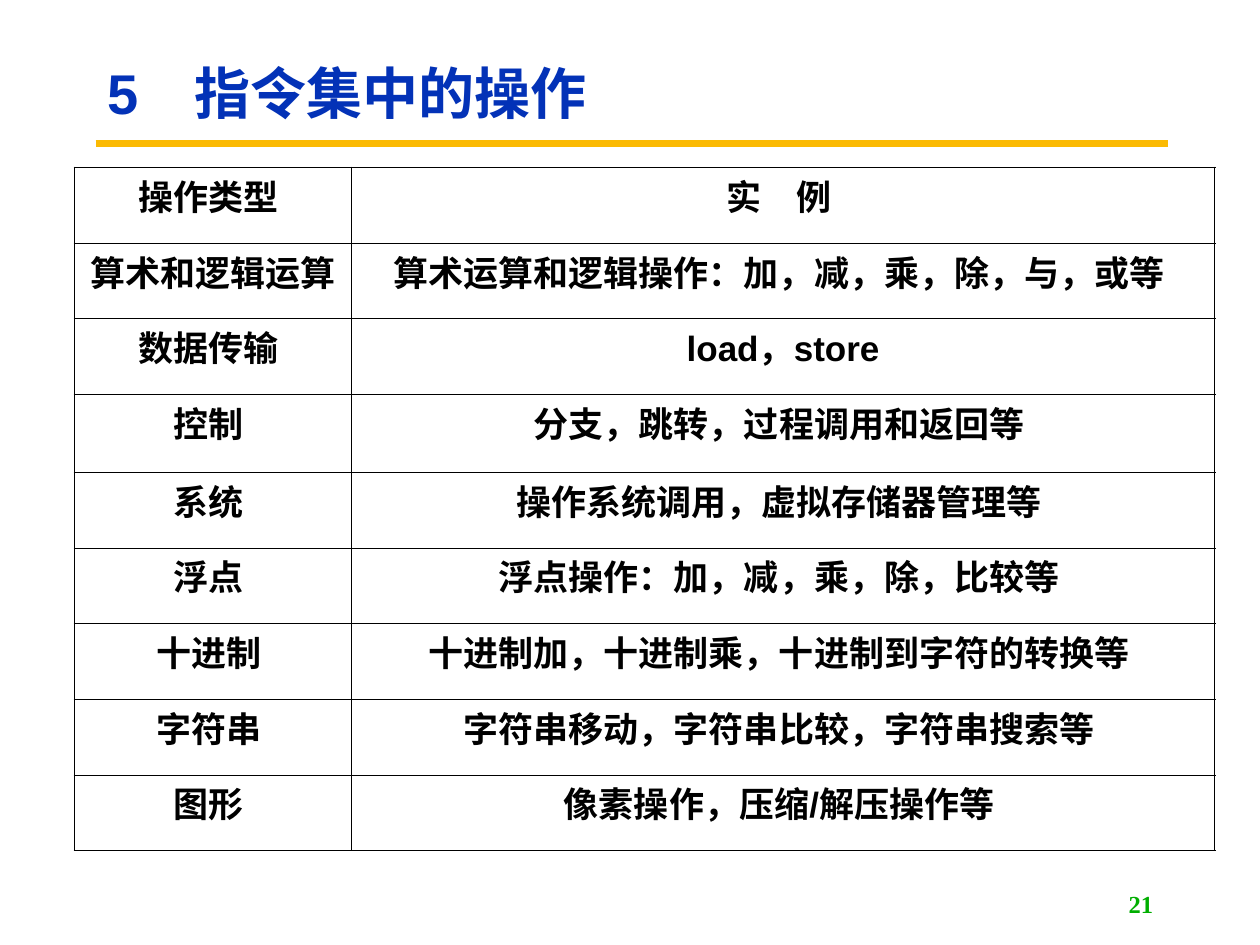
"""Build a slide with a table of instruction set operations."""
import pptx
import pptx.util
import pptx.dml.color
import pptx.enum.shapes
import pptx.enum.text
import pptx.oxml
import pptx.oxml.ns

In, Pt = pptx.util.Inches, pptx.util.Pt
RGB = pptx.dml.color.RGBColor.from_string
ALIGN = pptx.enum.text.PP_ALIGN
MIDDLE = pptx.enum.text.MSO_ANCHOR.MIDDLE
COLORS = {"title": "0332B7", "rule": "FBBA03", "text": "000000", "number": "00AE00"}
NS = pptx.oxml.ns.nsdecls("a")
OUTER, INNER = 1.08, 0.45

ROWS = [
    ("操作类型 ", "实　例 "),
    ("算术和逻辑运算 ", "算术运算和逻辑操作：加，减，乘，除，与，或等 "),
    ("数据传输 ", "load，store"),
    ("控制 ", "分支，跳转，过程调用和返回等 "),
    ("系统 ", "操作系统调用，虚拟存储器管理等 "),
    ("浮点 ", "浮点操作：加，减，乘，除，比较等 "),
    ("十进制 ", "十进制加，十进制乘，十进制到字符的转换等 "),
    ("字符串 ", "字符串移动，字符串比较，字符串搜索等 "),
    ("图形 ", "像素操作，压缩/解压操作等 "),
]
COLS = [2.2, 6.85]
HEIGHTS = [0.62 if i == 3 else 0.6 for i in range(len(ROWS))]


def style(p, size, color, align, font="Arial"):
    p.alignment = align
    p.font.name, p.font.size, p.font.bold = font, Pt(size), True
    p.font.color.rgb = RGB(COLORS[color])


def border(cell, side, width):
    cell._tc.get_or_add_tcPr().append(pptx.oxml.parse_xml(
        f'<a:ln{side} {NS} w="{Pt(width)}"><a:solidFill>'
        f'<a:srgbClr val="{COLORS["text"]}"/></a:solidFill></a:ln{side}>'))


prs = pptx.Presentation()
prs.slide_width, prs.slide_height = In(10), In(7.5)
s = prs.slides.add_slide(prs.slide_layouts[5])

rule = s.shapes.add_connector(
    pptx.enum.shapes.MSO_CONNECTOR.STRAIGHT, In(0.76), In(1.14), In(9.27), In(1.14))
rule.line.color.rgb = RGB(COLORS["rule"])
rule.line.width = Pt(3.75)
rule._element.spPr.append(pptx.oxml.parse_xml(f"<a:effectLst {NS}/>"))

title = s.shapes.title
title.left, title.top, title.width, title.height = In(0.75), In(0.36), In(7.98), In(0.81)
tf = title.text_frame
tf.text = "5　指令集中的操作"
tf.vertical_anchor = MIDDLE
tf.paragraphs[0].line_spacing = 0.9
style(tf.paragraphs[0], 32, "title", ALIGN.LEFT)

sp = s.shapes.add_textbox(In(7.17), In(7.01), In(2.08), In(0.32))
tf = sp.text_frame
tf.text = "21"
tf.word_wrap = True
tf.vertical_anchor = MIDDLE
style(tf.paragraphs[0], 14, "number", ALIGN.RIGHT, "Times New Roman")

table = s.shapes.add_table(len(ROWS), len(COLS), In(0.59), In(1.33),
                           In(sum(COLS)), In(sum(HEIGHTS))).table
table.first_row = table.horz_banding = False
for c, width in enumerate(COLS):
    table.columns[c].width = In(width)
for r, texts in enumerate(ROWS):
    table.rows[r].height = In(HEIGHTS[r])
    for c, text in enumerate(texts):
        cell = table.cell(r, c)
        cell.text = text
        p = cell.text_frame.paragraphs[0]
        p.line_spacing, p.space_before = 0.9, Pt(7.5)
        style(p, 20, "text", ALIGN.CENTER)
        edges = {"L": c == 0, "R": c == len(COLS) - 1,
                 "T": r == 0, "B": r == len(ROWS) - 1}
        for side, outer in edges.items():
            border(cell, side, OUTER if outer else INNER)
        cell.fill.background()

prs.save("out.pptx")
